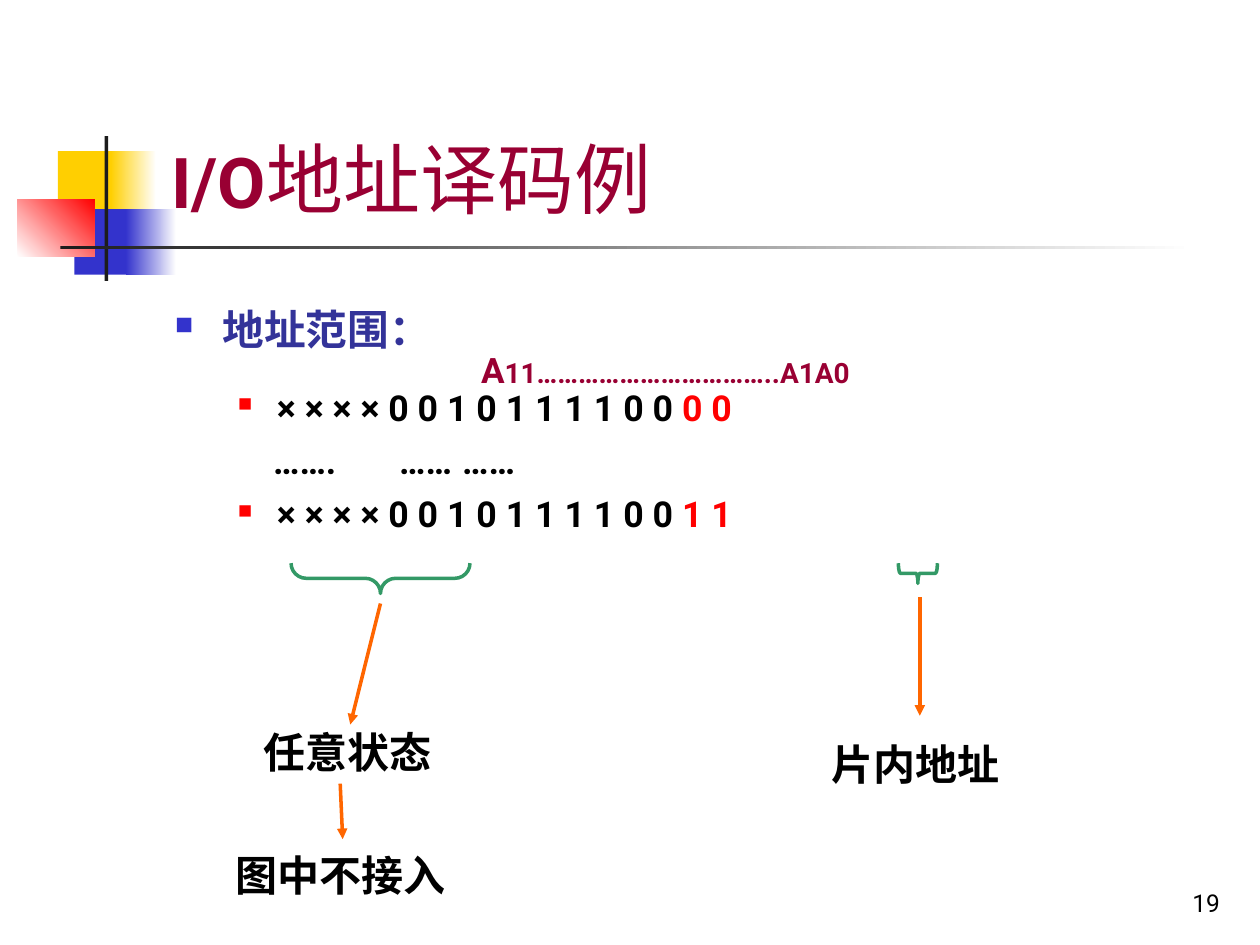
import pptx
import pptx.dml.color
import pptx.enum.shapes
import pptx.enum.text
import pptx.oxml
import pptx.oxml.ns
import pptx.util
from lxml import etree

Inches = pptx.util.Inches
Pt = pptx.util.Pt
SHAPE = pptx.enum.shapes.MSO_SHAPE
ALIGN = pptx.enum.text.PP_ALIGN
ANCHOR = pptx.enum.text.MSO_ANCHOR

FONT = "Roboto"
COLORS = {
    "yellow": "FFCF01", "blue": "3333CC", "red": "FF0000", "white": "FFFFFF",
    "dark": "1C1C1C", "black": "000000", "title": "990033", "heading": "333399",
    "brace": "339966", "arrow": "FF6600",
}


def rgb(name):
    """Return the named colour."""
    return pptx.dml.color.RGBColor.from_string(COLORS[name])


def format_font(font, size, color, bold=True):
    """Set the typeface, size, colour and weight of a font."""
    font.name = FONT
    font.size = Pt(size)
    font.bold = bold
    font.color.rgb = rgb(color)


def add_element(parent, tag, **attributes):
    """Append a drawing element to its parent and return it."""
    element = etree.SubElement(parent, pptx.oxml.ns.qn(tag))
    for key, value in attributes.items():
        element.set(key, str(value))
    return element


def add_block(slide, left, top, width, height, colors, angle=0):
    """Add a borderless rectangle with a plain or two-colour gradient fill."""
    shape = slide.shapes.add_shape(
        SHAPE.RECTANGLE, Inches(left), Inches(top), Inches(width), Inches(height))
    shape.shadow.inherit = False
    shape.line.fill.background()
    if len(colors) == 1:
        shape.fill.solid()
        shape.fill.fore_color.rgb = rgb(colors[0])
        return
    shape.fill.gradient()
    shape.fill.gradient_angle = angle
    for stop, color, position in zip(shape.fill.gradient_stops, colors, (0, 1)):
        stop.color.rgb = rgb(color)
        stop.position = position


def add_text_box(slide, left, top, width, height):
    """Add a wrapping text box and return its text frame."""
    box = slide.shapes.add_textbox(
        Inches(left), Inches(top), Inches(width), Inches(height))
    box.text_frame.word_wrap = True
    return box.text_frame


def add_label(slide, left, top, width, text, size=24, color="black", bold=True):
    """Add a one-line label and return its text frame."""
    frame = add_text_box(slide, left, top, width, 0.5)
    paragraph = frame.paragraphs[0]
    paragraph.text = text
    format_font(paragraph.font, size, color, bold)
    return frame


def add_arrow(slide, start, end):
    """Add a straight arrow from start to end."""
    connector = slide.shapes.add_connector(
        pptx.enum.shapes.MSO_CONNECTOR.STRAIGHT,
        *(Inches(value) for value in start + end))
    connector.line.color.rgb = rgb("arrow")
    connector.line.width = Pt(2)
    add_element(connector.line._get_or_add_ln(), "a:tailEnd", type="triangle")
    add_element(connector._element.spPr, "a:effectLst")


def add_brace(slide, left, top, width, height, curve):
    """Add a brace that points down and fills the given box."""
    shape = slide.shapes.add_shape(
        SHAPE.LEFT_BRACE,
        Inches(left + (width - height) / 2), Inches(top + (height - width) / 2),
        Inches(height), Inches(width))
    shape.rotation = 270
    shape.adjustments[0] = curve
    shape.shadow.inherit = False
    shape.fill.background()
    shape.line.color.rgb = rgb("brace")
    shape.line.width = Pt(2)


def set_bullet(paragraph, margin, indent, color, percent):
    """Give a paragraph a square bullet with a hanging indent."""
    properties = paragraph._p.get_or_add_pPr()
    properties.set("marL", str(Inches(margin)))
    properties.set("indent", str(-Inches(indent)))
    bullet_color = add_element(properties, "a:buClr")
    add_element(bullet_color, "a:srgbClr", val=COLORS[color])
    add_element(properties, "a:buSzPct", val=percent * 1000)
    add_element(properties, "a:buChar", char="■")


def add_decoration(slide, left, top):
    """Draw the coloured blocks and rules beside the title."""
    add_block(slide, left + 0.32, top + 0.12, 0.48, 0.52, ["yellow"])
    add_block(slide, left + 0.74, top + 0.12, 0.36, 0.52, ["yellow", "white"])
    add_block(slide, left + 0.45, top + 0.58, 0.46, 0.52, ["blue"])
    add_block(slide, left + 0.86, top + 0.58, 0.4, 0.52, ["blue", "white"])
    add_block(slide, left, top + 0.5, 0.61, 0.46, ["white", "red"], 45)
    add_block(slide, left + 0.69, top, 0.03, 1.15, ["dark"])
    add_block(slide, left + 0.34, top + 0.87, 9, 0.03, ["dark", "white"])


def format_title(slide, left, top, width, height):
    """Place the title and fill it with its two runs."""
    title = slide.shapes.title
    title.left, title.top = Inches(left), Inches(top)
    title.width, title.height = Inches(width), Inches(height)
    frame = title.text_frame
    frame.auto_size = pptx.enum.text.MSO_AUTO_SIZE.NONE
    frame.vertical_anchor = ANCHOR.BOTTOM
    paragraph = frame.paragraphs[0]
    paragraph.alignment = ALIGN.LEFT
    for text, size, bold in (("I/O", 40, True), ("地址译码例", 44, False)):
        run = paragraph.add_run()
        run.text = text
        format_font(run.font, size, "title", bold)


def add_address_range(slide, left, top, width, height):
    """List the first and last address under a heading."""
    frame = add_text_box(slide, left, top, width, height)
    heading = frame.paragraphs[0]
    heading.text = "地址范围："
    heading.space_after = Pt(12.2)
    set_bullet(heading, 0.38, 0.38, "blue", 60)
    format_font(heading.font, 23.8, "heading")
    for low_bits in ("0 0", None, "1 1"):
        paragraph = frame.add_paragraph()
        paragraph.space_before = Pt(6)
        if low_bits:
            paragraph.level = 1
            set_bullet(paragraph, 0.81, 0.31, "red", 55)
            runs = (("× × × × 0 0 1 0 1 1 1 1 0 0 ", "black"), (low_bits, "red"))
        else:
            properties = paragraph._p.get_or_add_pPr()
            properties.set("marL", str(Inches(0.78)))
            properties.set("indent", "0")
            add_element(properties, "a:buNone")
            tabs = add_element(properties, "a:tabLst")
            for position in (2.48, 4.03):
                add_element(tabs, "a:tab", pos=Inches(position), algn="l")
            runs = (("…….\t……\t……", "black"),)
        for text, color in runs:
            run = paragraph.add_run()
            run.text = text
            format_font(run.font, 20.4, color)


def add_bit_names(slide, left, top, width):
    """Name the address lines above the bits."""
    frame = add_label(slide, left, top, width, "A", 20, "title")
    run = frame.paragraphs[0].add_run()
    run.text = "11……………………………..A1A0"
    run.font.size = Pt(16)


def add_free_bits(slide, left, top):
    """Explain the bits that may take any state."""
    add_brace(slide, left + 0.54, top, 1.42, 0.24, 0.5)
    add_arrow(slide, (left + 1.25, top + 0.32), (left + 1.01, top + 1.28))
    add_label(slide, left + 0.22, top + 1.25, 1.65, "任意状态")
    add_arrow(slide, (left + 0.93, top + 1.75), (left + 0.95, top + 2.19))
    add_label(slide, left, top + 2.22, 2.2, "图中不接入")


def add_chip_bits(slide, left, top):
    """Explain the bits that select an address inside the chip."""
    add_brace(slide, left + 0.63, top, 0.31, 0.16, 0.1)
    add_arrow(slide, (left + 0.8, top + 0.27), (left + 0.8, top + 1.21))
    add_label(slide, left, top + 1.34, 1.65, "片内地址")


def main():
    """Build and save the slide."""
    presentation = pptx.Presentation()
    presentation.slide_width, presentation.slide_height = Inches(10), Inches(7.5)
    slide = presentation.slides.add_slide(presentation.slide_layouts[5])
    add_decoration(slide, 0.14, 1.08)
    format_title(slide, 1.26, 0.23, 8.52, 1.6)
    add_address_range(slide, 1.29, 2.36, 8.5, 1.94)
    add_bit_names(slide, 3.72, 2.72, 3.98)
    add_free_bits(slide, 1.77, 4.47)
    add_chip_bits(slide, 6.5, 4.47)
    number = add_label(slide, 7.7, 6.83, 2.08, "19", 14, bold=False)
    number.vertical_anchor = ANCHOR.BOTTOM
    number.paragraphs[0].alignment = ALIGN.RIGHT
    presentation.save("out.pptx")


if __name__ == "__main__":
    main()
